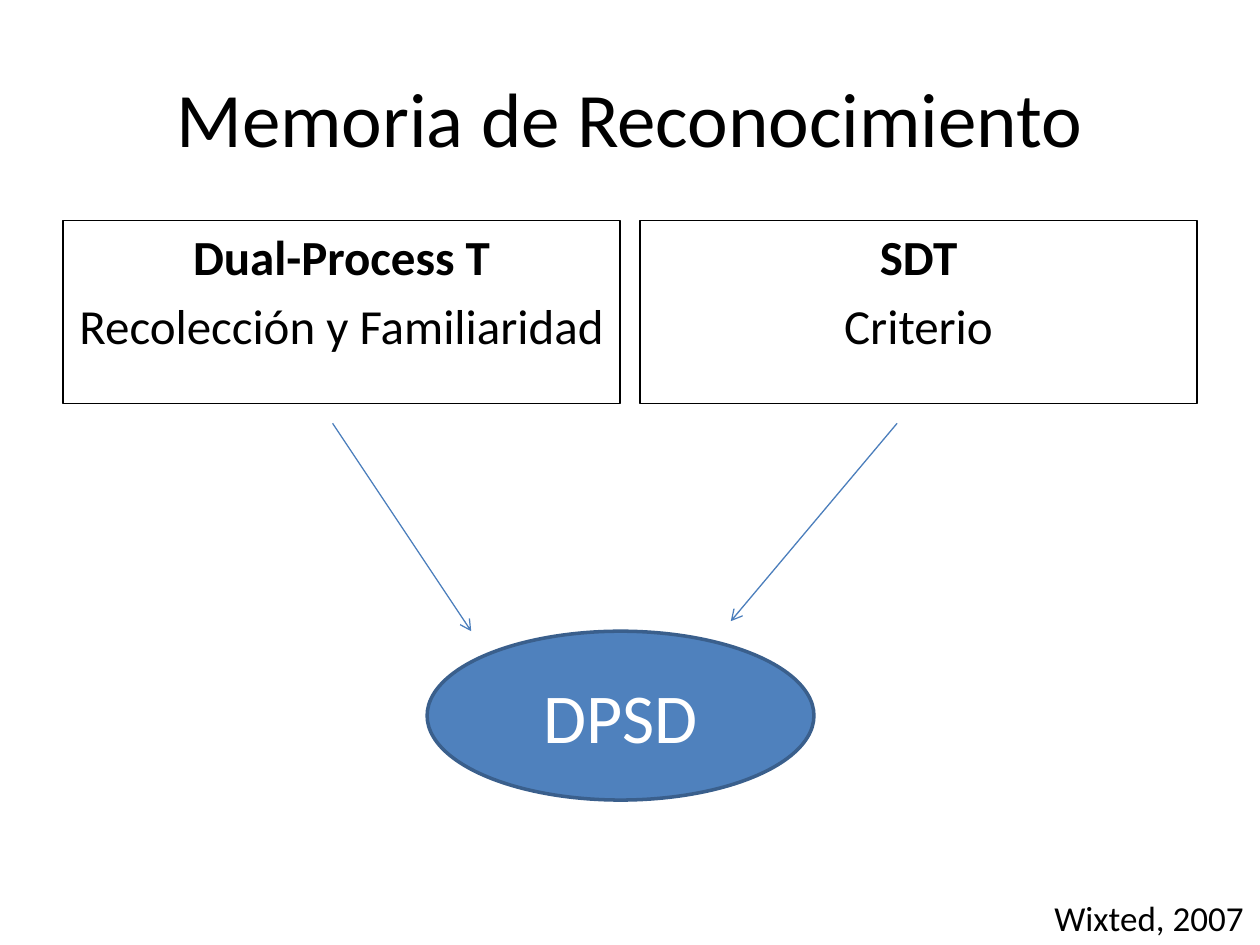
from lxml.etree import SubElement
from pptx import Presentation
from pptx.dml.color import RGBColor
from pptx.enum.shapes import MSO_CONNECTOR, MSO_SHAPE
from pptx.enum.text import MSO_ANCHOR, PP_ALIGN
from pptx.oxml.ns import qn
from pptx.util import Inches, Pt

BLACK = RGBColor(0x00, 0x00, 0x00)
WHITE = RGBColor(0xFF, 0xFF, 0xFF)
BLUE = RGBColor(0x4F, 0x81, 0xBD)
DARK_BLUE = RGBColor(0x3A, 0x5F, 0x8C)
ARROW_BLUE = RGBColor(0x4B, 0x7E, 0xBC)

MARGIN = 0.5
THEORY_WIDTH = 4.42
THEORY_GAP = 0.16
THEORIES = [
    ("Dual-Process T", "Recolección y Familiaridad"),
    ("SDT", "Criterio"),
]
ARROWS = [((2.64, 3.36), (3.74, 5.01)), ((7.12, 3.36), (5.8, 4.93))]


def set_values(target, values):
    """Set each named attribute of the target."""
    for name, value in values.items():
        setattr(target, name, value)


def write_text(shape, lines, size, color=BLACK, alignment=PP_ALIGN.CENTER,
               anchor=MSO_ANCHOR.MIDDLE, space_before=0, bold_first=False):
    """Write one paragraph for each line of text."""
    frame = shape.text_frame
    set_values(frame, {"word_wrap": True, "vertical_anchor": anchor})
    frame.text = "\n".join(lines)
    for index, paragraph in enumerate(frame.paragraphs):
        set_values(paragraph, {"alignment": alignment,
                               "space_before": Pt(space_before)})
        font = paragraph.runs[0].font
        set_values(font, {"name": "Calibri", "size": Pt(size),
                          "bold": bold_first and index == 0})
        font.color.rgb = color


def add_text(slide, box, text, size, **options):
    """Place a line of text in a box."""
    shape = slide.shapes.add_textbox(*map(Inches, box))
    write_text(shape, [text], size, **options)


def add_outlined_shape(slide, kind, box, line_color, line_width):
    """Place a shape with an outline and no shadow."""
    shape = slide.shapes.add_shape(kind, *map(Inches, box))
    shape.shadow.inherit = False
    shape.line.color.rgb = line_color
    shape.line.width = Pt(line_width)
    return shape


def add_theory(slide, box, lines):
    """Place a framed theory with a bold heading."""
    shape = add_outlined_shape(slide, MSO_SHAPE.RECTANGLE, box, BLACK, 0.75)
    shape.fill.background()
    write_text(shape, lines, 28, anchor=MSO_ANCHOR.TOP, space_before=5.6,
               bold_first=True)


def add_model(slide, box, text):
    """Place the ellipse that names the combined model."""
    shape = add_outlined_shape(slide, MSO_SHAPE.OVAL, box, DARK_BLUE, 2)
    shape.fill.solid()
    shape.fill.fore_color.rgb = BLUE
    write_text(shape, [text], 40, color=WHITE)


def add_arrow(slide, start, end):
    """Draw an open-headed arrow between two points."""
    connector = slide.shapes.add_connector(
        MSO_CONNECTOR.STRAIGHT, *map(Inches, start + end))
    connector.line.color.rgb = ARROW_BLUE
    connector.line.width = Pt(0.75)
    SubElement(connector.line._get_or_add_ln(), qn("a:tailEnd"), type="arrow")
    SubElement(connector._element.spPr, qn("a:effectLst"))


def main():
    """Build and save the slide."""
    presentation = Presentation()
    set_values(presentation, {"slide_width": Inches(10),
                              "slide_height": Inches(7.5)})
    slide = presentation.slides.add_slide(presentation.slide_layouts[6])
    add_text(slide, (MARGIN, 0.3, 9, 1.25), "Memoria de Reconocimiento", 44)
    for index, lines in enumerate(THEORIES):
        left = MARGIN + index * (THEORY_WIDTH + THEORY_GAP)
        add_theory(slide, (left, 1.75, THEORY_WIDTH, 1.45), lines)
    add_model(slide, (3.39, 5.01, 3.07, 1.34), "DPSD")
    for start, end in ARROWS:
        add_arrow(slide, start, end)
    add_text(slide, (0.36, 6.73, 9.61, 0.77), "Wixted, 2007", 20,
             alignment=PP_ALIGN.RIGHT, anchor=MSO_ANCHOR.BOTTOM)
    presentation.save("out.pptx")


if __name__ == "__main__":
    main()
